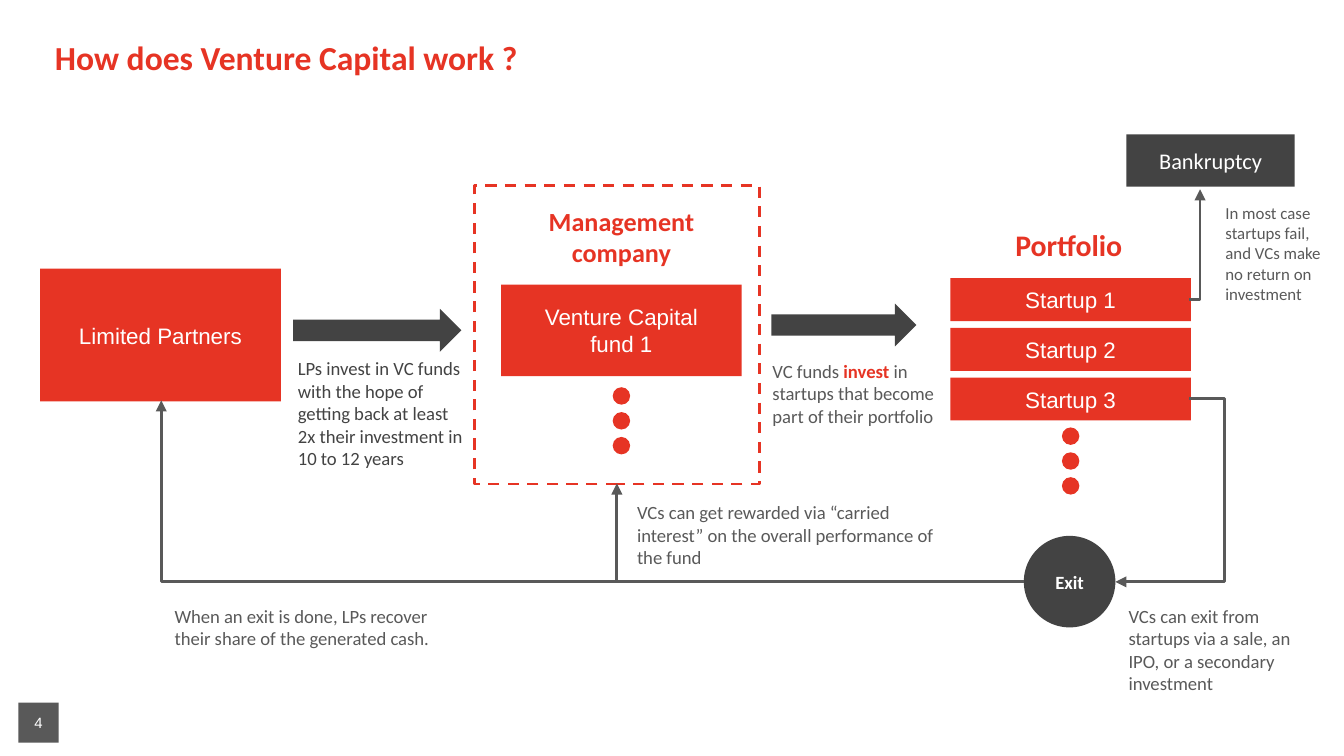
from lxml import etree
from pptx import Presentation
from pptx.dml.color import RGBColor
from pptx.enum.dml import MSO_LINE
from pptx.enum.shapes import MSO_CONNECTOR, MSO_SHAPE
from pptx.enum.text import MSO_ANCHOR, PP_ALIGN
from pptx.oxml.ns import qn
from pptx.util import Cm, Pt

RECT, OVAL, ARROW = MSO_SHAPE.RECTANGLE, MSO_SHAPE.OVAL, MSO_SHAPE.RIGHT_ARROW
ELBOW, DASH = MSO_CONNECTOR.ELBOW, MSO_LINE.DASH
LEFT, MID = PP_ALIGN.LEFT, PP_ALIGN.CENTER
TOP, CORE = MSO_ANCHOR.TOP, MSO_ANCHOR.MIDDLE
RED, DARK, GREY, WHITE = "E63424", "434343", "595959", "FFFFFF"
SIDES = ("margin_left", "margin_top", "margin_right", "margin_bottom")

LABEL = {"name": "Arial", "size": Pt(12), "bold": False}
NOTE = {"name": "Calibri", "size": Pt(10), "bold": False}
HEAD = {"name": "Calibri", "size": Pt(14), "bold": True}
BAR_W, DOT, STEP = 4.55, 0.33, 0.47


def paint(color, tint):
    color.rgb = RGBColor.from_string(tint)


def apply(item, values):
    for key, value in values.items():
        setattr(item, key, value)


def write(shape, text, font, tint, align, anchor, pads=(0.25,) * 4):
    frame = shape.text_frame
    apply(frame, {"word_wrap": True, "vertical_anchor": anchor})
    apply(frame, {side: Cm(pad) for side, pad in zip(SIDES, pads)})
    for row, line in enumerate(text.split("\n")):
        para = frame.paragraphs[0] if row == 0 else frame.add_paragraph()
        para.alignment = align
        for spot, part in enumerate(line.split("*")):
            run = para.add_run()
            run.text = part
            apply(run.font, font)
            paint(run.font.color, tint)
            if spot % 2:
                run.font.bold = True
                paint(run.font.color, RED)
    return frame


def block(slide, kind, box, fill, text="", font=LABEL):
    shape = slide.shapes.add_shape(kind, *map(Cm, box))
    shape.shadow.inherit = False
    shape.line.fill.background()
    shape.fill.solid()
    paint(shape.fill.fore_color, fill)
    if text:
        write(shape, text, font, WHITE, MID, CORE)
    return shape


def note(slide, box, text, font=NOTE, tint=GREY, align=LEFT):
    area = slide.shapes.add_textbox(*map(Cm, box))
    return write(area, text, font, tint, align, TOP)


def dots(slide, left, top):
    for row in range(3):
        block(slide, OVAL, (left, top + row * STEP, DOT, DOT), RED)


def elbow(slide, start, end, bend=None):
    line = slide.shapes.add_connector(ELBOW, *map(Cm, start + end))
    line.line.width = Pt(1.5)
    paint(line.line.color, GREY)
    props = line._element.spPr
    tip = etree.SubElement(props.find(qn("a:ln")), qn("a:tailEnd"))
    tip.set("type", "triangle")
    etree.SubElement(props, qn("a:effectLst"))
    geom = props.find(qn("a:prstGeom"))
    if bend is None:
        geom.set("prst", "bentConnector2")
    else:
        guide = etree.SubElement(geom.find(qn("a:avLst")), qn("a:gd"))
        guide.set("name", "adj1")
        guide.set("fmla", f"val {round(bend * 100000)}")


def title(slide, box):
    area = slide.shapes.add_textbox(*map(Cm, box))
    frame = write(area, "How does Venture Capital work ?",
                  HEAD | {"size": Pt(18)}, RED, LEFT, TOP,
                  (0.48, 0.1, 0.1, 0.1))
    frame.paragraphs[0].line_spacing = 0.9


def footer(slide, box):
    shape = block(slide, RECT, box, GREY)
    write(shape, "4", LABEL | {"size": Pt(8)}, WHITE, MID, CORE, (0.18,) * 4)


def manager(slide, box):
    x, y, w, h = box
    frame = slide.shapes.add_shape(RECT, *map(Cm, box))
    frame.shadow.inherit = False
    frame.fill.background()
    paint(frame.line.color, RED)
    apply(frame.line, {"width": Pt(1.5), "dash_style": DASH})
    note(slide, (x + 0.68, y + 0.12, 4.19, 1.27),
         "Management company", HEAD, RED, MID)
    block(slide, RECT, (x + 0.5, y + 1.87, BAR_W, 1.73), RED,
          "Venture Capital\nfund 1")
    dots(slide, x + 2.61, y + 3.81)


def startups(slide, box):
    x, y, w, h = box
    note(slide, (x + 0.73, y, 3.02, 1.27), "Portfolio",
         HEAD | {"size": Pt(16)}, RED, MID)
    for row in range(3):
        block(slide, RECT, (x, y + 1.22 + row * 0.94, w, 0.81), RED,
              f"Startup {row + 1}")
    dots(slide, x + (w - DOT) / 2, y + 4.04)


def funding(slide, box, inset, drop, text, tint):
    x, y, w, h = box
    block(slide, ARROW, (x + inset, y, w, 0.81), DARK)
    note(slide, (x, y + drop, 3.61, h - drop), text, NOTE, tint)


def failure(slide, box):
    x, y, w, h = box
    block(slide, RECT, (x, y, 3.18, 0.99), DARK, "Bankruptcy",
          NOTE | {"size": Pt(12)})
    note(slide, (x + 1.62, y + 1.04, w - 1.62, h - 1.04),
         "In most case startups fail, and VCs make no return on investment",
         NOTE | {"size": Pt(9)})


def leave(slide, box):
    x, y, w, h = box
    block(slide, OVAL, (x, y, 1.73, 1.73), DARK, "Exit", NOTE | {"bold": True})
    note(slide, (x + 1.73, y + 1.05, w - 1.73, h - 1.05),
         "VCs can exit from startups via a sale, an IPO, "
         "or a secondary investment")


def returns(slide, box):
    x, y, w, h = box
    base = y + h
    gate = (x + w, base)
    elbow(slide, (x + 19.43, y - 0.03), (x + 18.03, base), -0.47)
    elbow(slide, gate, (x + 8.61, y + 1.57))
    elbow(slide, gate, (x, y))
    elbow(slide, (x + 19.43, y - 1.91), (x + 19.63, y - 3.99))
    note(slide, (x, base + 0.18, 5.38, 1.27),
         "When an exit is done, LPs recover their share of the generated cash.")
    note(slide, (x + 8.74, y + 1.65, 6.17, 1.27),
         "VCs can get rewarded via “carried interest” "
         "on the overall performance of the fund")


def main():
    deck = Presentation()
    apply(deck, {"slide_width": Cm(25.4), "slide_height": Cm(14.29)})
    slide = deck.slides.add_slide(deck.slide_layouts[6])
    footer(slide, (0.35, 13.28, 0.76, 0.76))
    title(slide, (0.56, 0.69, 19.5, 1.12))
    manager(slide, (8.97, 3.51, 5.38, 5.64))
    startups(slide, (17.96, 4.04, BAR_W, 5.31))
    block(slide, RECT, (0.76, 5.08, BAR_W, 2.51), RED, "Limited Partners")
    funding(slide, (5.38, 5.84, 3.18, 3.73), 0.16, 0.66,
            "LPs invest in VC funds with the hope of getting back "
            "at least 2x their investment in 10 to 12 years", DARK)
    funding(slide, (14.35, 5.74, 2.74, 3.6), 0.23, 0.81,
            "VC funds *invest* in startups that become "
            "part of their portfolio", GREY)
    leave(slide, (19.35, 10.13, 5.67, 2.9))
    returns(slide, (3.05, 7.57, 16.3, 3.43))
    failure(slide, (21.29, 2.54, 4.11, 2.03))
    deck.save("out.pptx")


if __name__ == "__main__":
    main()
